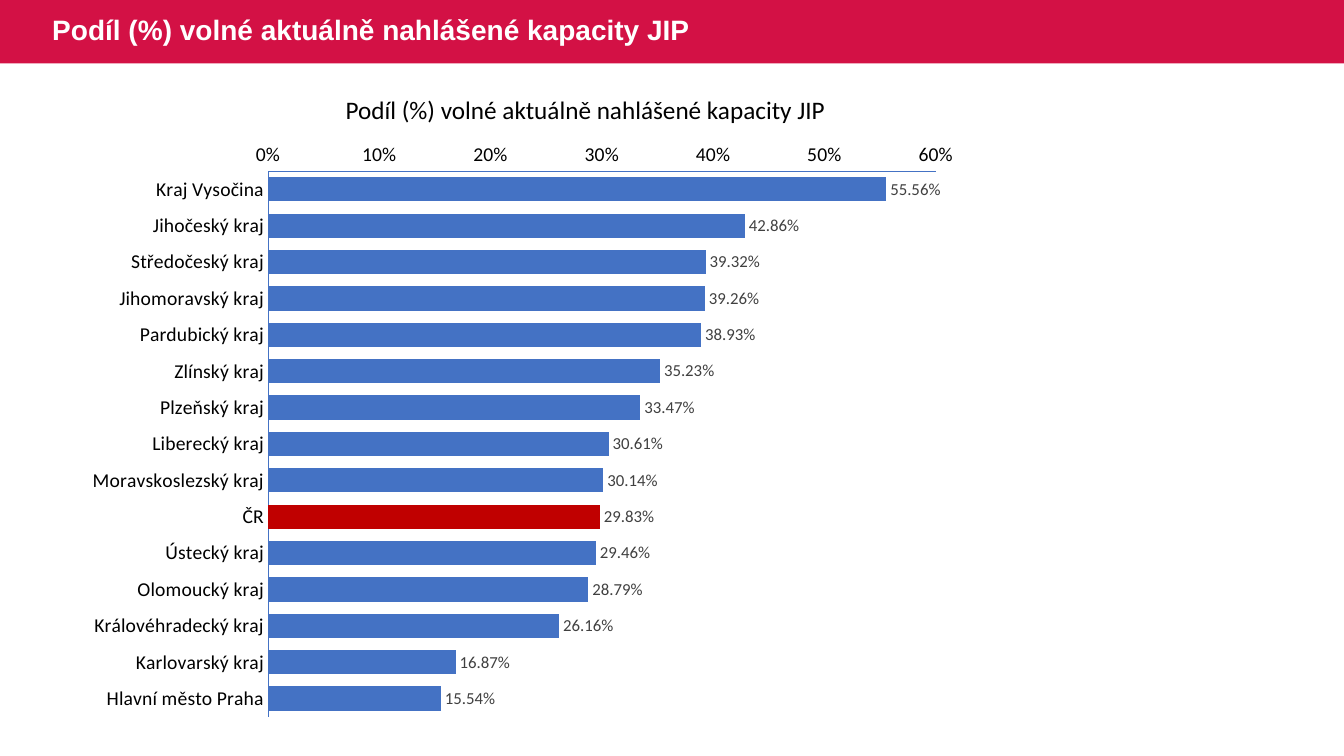
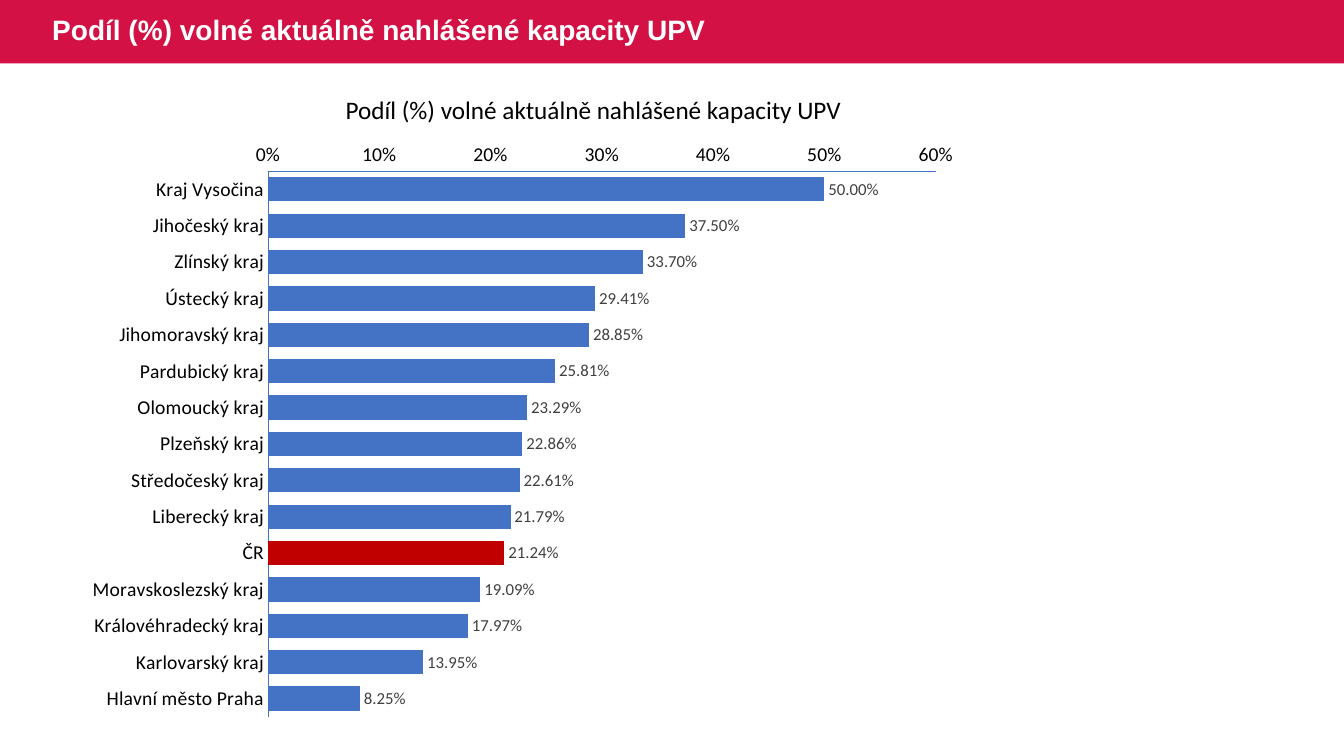
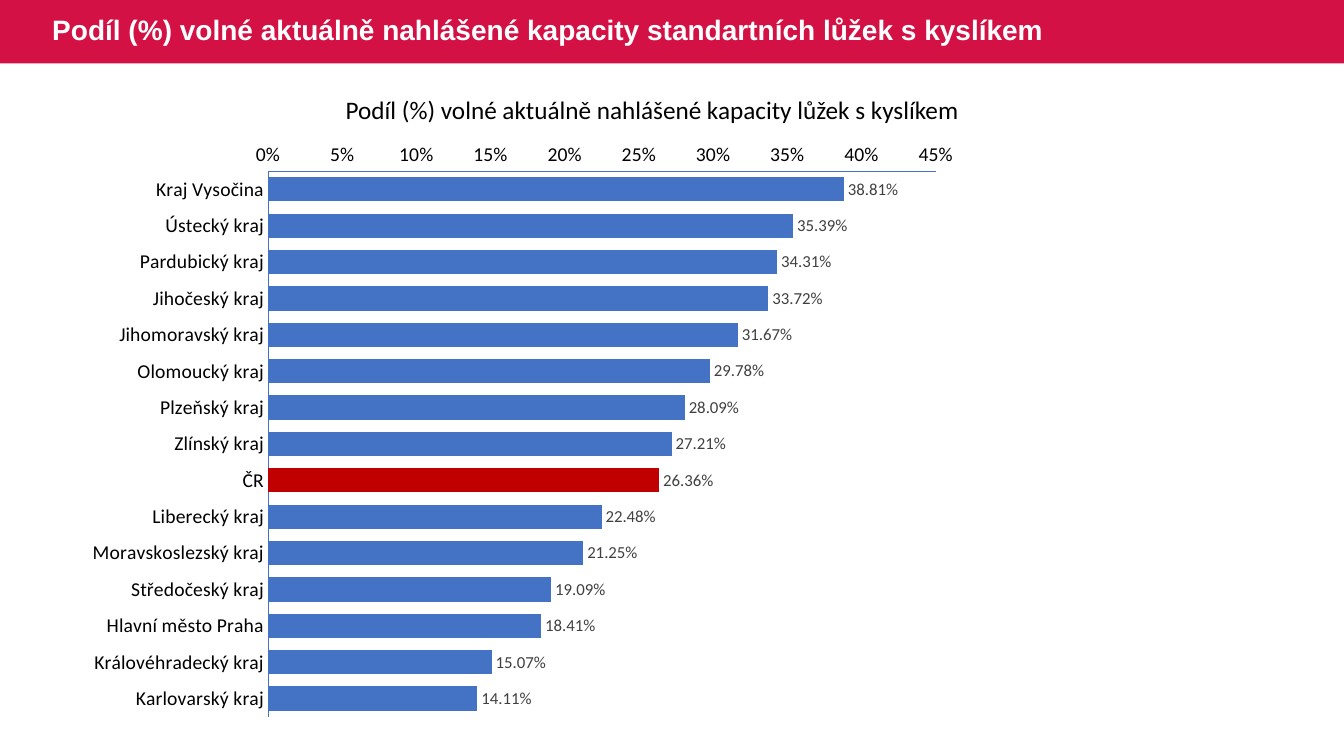
from pptx import Presentation
from pptx.chart.data import CategoryChartData
from pptx.dml.color import RGBColor
from pptx.enum.chart import XL_CHART_TYPE as ChartType, XL_LABEL_POSITION as LabelPos
from pptx.enum.chart import XL_TICK_MARK as TickMark
from pptx.enum.shapes import MSO_SHAPE as Shape
from pptx.enum.text import MSO_ANCHOR as Anchor, MSO_AUTO_SIZE as AutoSize
from pptx.util import Inches, Pt

SLIDE_W, SLIDE_H = 13.33, 7.5
BAND_BOX = (0, 0, SLIDE_W, 0.63)
TITLE_BOX = (0.42, 0, 11.56, 0.63)
CHART_BOX = (0.74, 1.3, 8.89, 5.93)
CAPTION_LEFT, CAPTION_TOP, CAPTION_H = 3.33, 0.89, 0.4
CRIMSON, WHITE, BLACK = "D31145", "FFFFFF", "000000"
BLUE, RED, GREY = "4472C4", "C00000", "404040"
COUNTRY = "ČR"

# Title, chart caption, caption width, axis maximum, axis step, free shares
SLIDES = [
    ("Podíl (%) volné aktuálně nahlášené kapacity JIP",
     "Podíl (%) volné aktuálně nahlášené kapacity JIP", 5.13, 0.6, 0.1, {
         "Kraj Vysočina": 0.5556, "Jihočeský kraj": 0.4286,
         "Středočeský kraj": 0.3932, "Jihomoravský kraj": 0.3926,
         "Pardubický kraj": 0.3893, "Zlínský kraj": 0.3523,
         "Plzeňský kraj": 0.3347, "Liberecký kraj": 0.3061,
         "Moravskoslezský kraj": 0.3014, COUNTRY: 0.2983,
         "Ústecký kraj": 0.2946, "Olomoucký kraj": 0.2879,
         "Královéhradecký kraj": 0.2616, "Karlovarský kraj": 0.1687,
         "Hlavní město Praha": 0.1554}),
    ("Podíl (%) volné aktuálně nahlášené kapacity UPV",
     "Podíl (%) volné aktuálně nahlášené kapacity UPV", 5.17, 0.6, 0.1, {
         "Kraj Vysočina": 0.5, "Jihočeský kraj": 0.375,
         "Zlínský kraj": 0.337, "Ústecký kraj": 0.2941,
         "Jihomoravský kraj": 0.2885, "Pardubický kraj": 0.2581,
         "Olomoucký kraj": 0.2329, "Plzeňský kraj": 0.2286,
         "Středočeský kraj": 0.2261, "Liberecký kraj": 0.2179,
         COUNTRY: 0.2124, "Moravskoslezský kraj": 0.1909,
         "Královéhradecký kraj": 0.1797, "Karlovarský kraj": 0.1395,
         "Hlavní město Praha": 0.0825}),
    ("Podíl (%) volné aktuálně nahlášené kapacity standartních lůžek s kyslíkem",
     "Podíl (%) volné aktuálně nahlášené kapacity lůžek s kyslíkem", 6.35, 0.45, 0.05, {
         "Kraj Vysočina": 0.3881, "Ústecký kraj": 0.3539,
         "Pardubický kraj": 0.3431, "Jihočeský kraj": 0.3372,
         "Jihomoravský kraj": 0.3167, "Olomoucký kraj": 0.2978,
         "Plzeňský kraj": 0.2809, "Zlínský kraj": 0.2721,
         COUNTRY: 0.2636, "Liberecký kraj": 0.2248,
         "Moravskoslezský kraj": 0.2125, "Středočeský kraj": 0.1909,
         "Hlavní město Praha": 0.1841, "Královéhradecký kraj": 0.1507,
         "Karlovarský kraj": 0.1411}),
]


def rgb(code):
    return RGBColor.from_string(code)


def emu(box):
    return [Inches(length) for length in box]


def fill_with(target, color):
    target.fill.solid()
    target.fill.fore_color.rgb = rgb(color)


def set_font(font, size, color, name="Calibri", bold=False):
    font.name, font.size, font.bold = name, Pt(size), bold
    font.color.rgb = rgb(color)


def add_band(slide, box):
    band = slide.shapes.add_shape(Shape.RECTANGLE, *emu(box))
    band.shadow.inherit = False
    fill_with(band, CRIMSON)
    band.line.fill.background()


def add_title(slide, box, text):
    frame = slide.shapes.add_textbox(*emu(box)).text_frame
    frame.word_wrap = True
    frame.vertical_anchor = Anchor.MIDDLE
    title = frame.paragraphs[0]
    title.text = text
    title.line_spacing = 0.9
    set_font(title.font, 20, WHITE, "Arial", True)


def add_caption(slide, box, text):
    frame = slide.shapes.add_textbox(*emu(box)).text_frame
    frame.word_wrap = False
    frame.auto_size = AutoSize.SHAPE_TO_FIT_TEXT
    caption = frame.paragraphs[0]
    caption.text = text
    set_font(caption.font, 18, BLACK)


def style_axis(axis):
    axis.has_major_gridlines = False
    axis.major_tick_mark = axis.minor_tick_mark = TickMark.NONE
    axis.format.line.color.rgb = rgb(BLUE)
    axis.format.line.width = Pt(0.75)
    set_font(axis.tick_labels.font, 14, BLACK)


def add_share_chart(slide, box, shares, maximum, step):
    data = CategoryChartData(number_format="0.00%")
    data.categories = list(shares)
    data.add_series("Series 1", list(shares.values()))
    chart = slide.shapes.add_chart(ChartType.BAR_CLUSTERED, *emu(box), data).chart
    chart.has_legend = chart.has_title = False
    set_font(chart.font, 10, BLACK)

    # Axes: the first region on top, the percentages above it
    regions, percent = chart.category_axis, chart.value_axis
    for axis in (regions, percent):
        style_axis(axis)
    regions.reverse_order = True
    percent.minimum_scale, percent.maximum_scale = 0, maximum
    percent.major_unit = step
    percent.tick_labels.number_format = "0%"
    percent.tick_labels.number_format_is_linked = False

    # Bars, with the national figure marked
    plot = chart.plots[0]
    plot.gap_width = 50
    plot.vary_by_categories = False
    bars = plot.series[0]
    bars.invert_if_negative = False
    fill_with(bars.format, BLUE)
    fill_with(bars.points[list(shares).index(COUNTRY)].format, RED)

    # Value labels
    labels = bars.data_labels
    labels.show_value = True
    labels.position = LabelPos.OUTSIDE_END
    labels.number_format = "0.00%"
    labels.number_format_is_linked = False
    set_font(labels.font, 12, GREY)


def add_capacity_slide(deck, title, caption, caption_w, maximum, step, shares):
    slide = deck.slides.add_slide(deck.slide_layouts[6])
    add_band(slide, BAND_BOX)
    add_title(slide, TITLE_BOX, title)
    add_share_chart(slide, CHART_BOX, shares, maximum, step)
    add_caption(slide, (CAPTION_LEFT, CAPTION_TOP, caption_w, CAPTION_H), caption)


def main():
    deck = Presentation()
    deck.slide_width, deck.slide_height = emu((SLIDE_W, SLIDE_H))
    for content in SLIDES:
        add_capacity_slide(deck, *content)
    deck.save("out.pptx")


if __name__ == "__main__":
    main()
